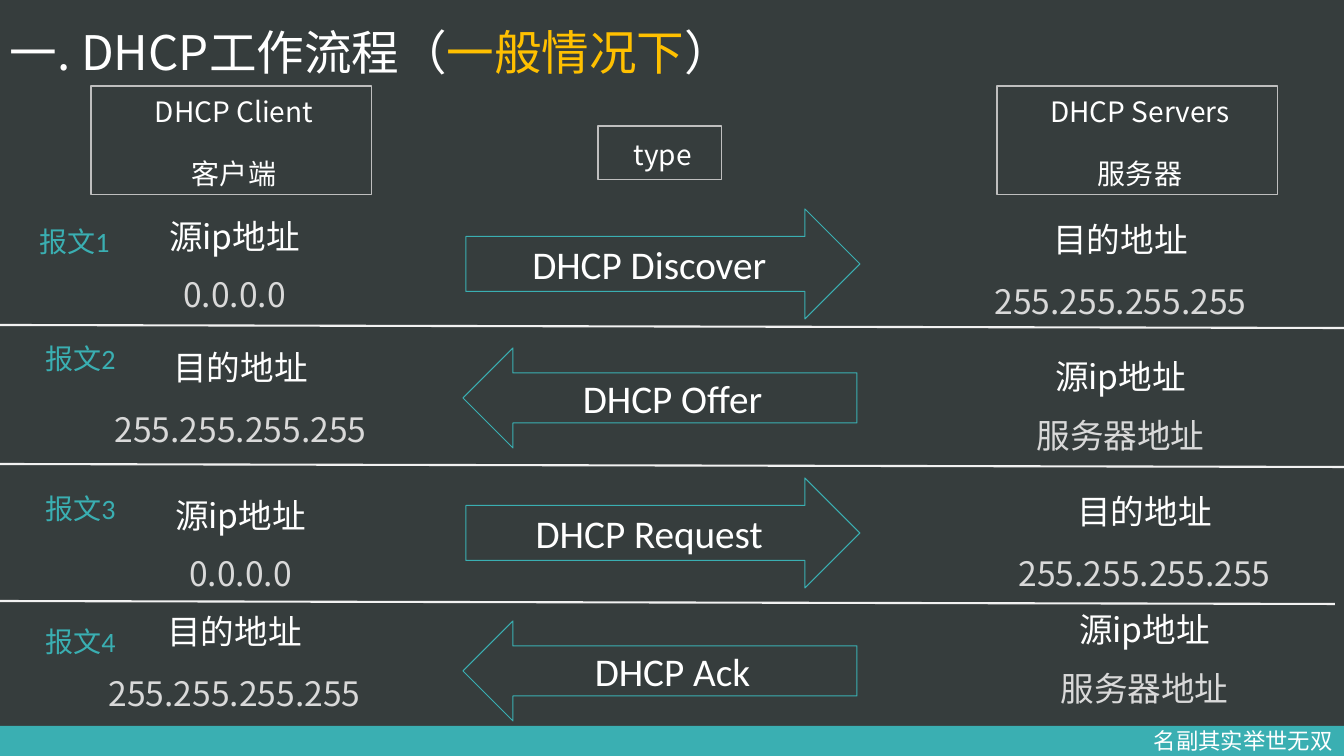
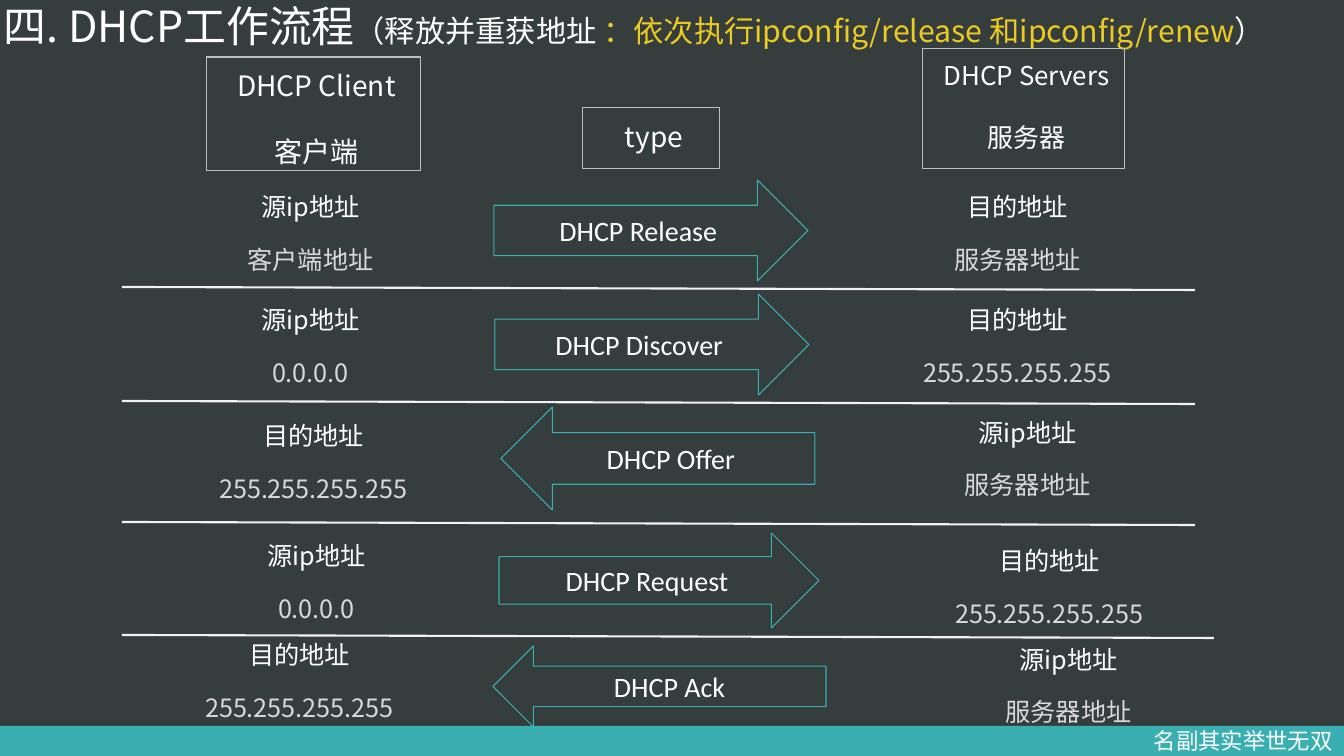
import dataclasses

import lxml.etree
import pptx
import pptx.dml.color
import pptx.enum.shapes
import pptx.enum.text
import pptx.oxml.ns
import pptx.util

WIDTH, HEIGHT = 1344, 756
SCALE = 12192000 / WIDTH
BODY_FONT, LATIN_FONT = "Noto Sans CJK SC", "Calibri"
DARK, TEAL, WHITE, GRAY = "363D3D", "3AAFB2", "FFFFFF", "D9D9D9"
FRAME, DIVIDER, GOLD, YELLOW = "BFBFBF", "F2F2F2", "FFC000", "EBCA21"
SHAPES = pptx.enum.shapes.MSO_SHAPE
ANCHOR = pptx.enum.text.MSO_ANCHOR
ALIGN = pptx.enum.text.PP_ALIGN

UNASSIGNED = ("源ip地址", "0.0.0.0")
CLIENT_SOURCE = ("源ip地址", "客户端地址")
SERVER_SOURCE = ("源ip地址", "服务器地址")
SERVER_TARGET = ("目的地址", "服务器地址")
BROADCAST = ("目的地址", "255.255.255.255")


@dataclasses.dataclass
class Style:
    address_size: float
    arrow_size: float
    header_spacing: float
    address_spacing: dict


@dataclasses.dataclass
class Exchange:
    box: tuple
    name: str
    arrow: tuple
    client: tuple
    client_at: tuple
    server: tuple
    server_at: tuple
    label: str = ""
    label_at: tuple = (0, 0)
    to_server: bool = True
    divided: bool = True


def px(length):
    return pptx.util.Emu(round(length * SCALE))


def place(box):
    return [px(length) for length in box]


def rgb(color):
    return pptx.dml.color.RGBColor.from_string(color)


def set_font(font, size, color, name):
    font.size = pptx.util.Pt(size)
    font.color.rgb = rgb(color)
    font.name = name
    east_asian = lxml.etree.SubElement(font._element, pptx.oxml.ns.qn("a:ea"))
    east_asian.set("typeface", BODY_FONT)


def add_preset(page, preset, box, fill=None, line=None):
    shape = page.shapes.add_shape(preset, *place(box))
    shape.shadow.inherit = False
    if fill:
        shape.fill.solid()
        shape.fill.fore_color.rgb = rgb(fill)
    else:
        shape.fill.background()
    if line:
        shape.line.color.rgb = rgb(line)
        shape.line.width = pptx.util.Pt(0.75)
    else:
        shape.line.fill.background()
    return shape


def write(shape, lines, size, colors, name=BODY_FONT, spacings=None,
          align=ALIGN.CENTER, anchor=ANCHOR.TOP):
    frame = shape.text_frame
    frame.word_wrap = True
    frame.vertical_anchor = anchor
    for index, (text, color) in enumerate(zip(lines, colors)):
        para = frame.paragraphs[0] if index == 0 else frame.add_paragraph()
        para.text = text
        para.alignment = align
        set_font(para.font, size, color, name)
        if spacings:
            para.line_spacing = spacings[index]
            para.space_before = pptx.util.Pt(18)
    if spacings:
        frame.margin_left = px(15)


def add_text(page, box, *content, **options):
    write(page.shapes.add_textbox(*place(box)), *content, **options)


def add_footer(page):
    add_preset(page, SHAPES.RECTANGLE, (0, 726, WIDTH, 30), fill=TEAL)
    add_text(page, (1144, 722, 206, 37), ["名副其实举世无双"], 16, [WHITE],
             name=LATIN_FONT, align=ALIGN.LEFT)


def add_title(page, box, spans):
    frame = page.shapes.add_textbox(*place(box)).text_frame
    frame.word_wrap = True
    frame.vertical_anchor = ANCHOR.BOTTOM
    para = frame.paragraphs[0]
    para.line_spacing = 0.9
    for text, size, color in spans:
        span = para.add_run()
        span.text = text
        set_font(span.font, size, color, BODY_FONT)


def add_header(page, box, lines, size, spacing):
    shape = add_preset(page, SHAPES.RECTANGLE, box, line=FRAME)
    count = len(lines)
    write(shape, lines, size, [WHITE] * count, spacings=[spacing] * count)


def add_address(page, center, top, address, style):
    width = round(style.address_size * 14)
    spacings = style.address_spacing.get(address, (0.9, 0.9))
    add_text(page, (center - width // 2, top, width, 100), address,
             style.address_size, [WHITE, GRAY], spacings=spacings)


def add_divider(page, left, top, width):
    line = page.shapes.add_connector(
        pptx.enum.shapes.MSO_CONNECTOR.STRAIGHT,
        *place((left, top, left + width, top + 3)))
    line.line.color.rgb = rgb(DIVIDER)
    line.line.width = pptx.util.Pt(1.5)
    lxml.etree.SubElement(line._element.spPr, pptx.oxml.ns.qn("a:effectLst"))


def add_exchange(page, exchange, style):
    left, top, width, height = exchange.box
    arrow_left, arrow_top, *arrow_size = exchange.arrow
    preset = SHAPES.RIGHT_ARROW if exchange.to_server else SHAPES.LEFT_ARROW
    arrow = add_preset(page, preset,
                       (left + arrow_left, top + arrow_top, *arrow_size), line=TEAL)
    write(arrow, [exchange.name], style.arrow_size, [WHITE],
          name=LATIN_FONT, anchor=ANCHOR.MIDDLE)
    for address, (center, offset) in ((exchange.client, exchange.client_at),
                                      (exchange.server, exchange.server_at)):
        add_address(page, left + center, top + offset, address, style)
    if exchange.label:
        label_left, label_top = exchange.label_at
        add_text(page, (left + label_left, top + label_top, 149, 71),
                 [exchange.label], 20, [TEAL], name=LATIN_FONT, anchor=ANCHOR.MIDDLE)
    if exchange.divided:
        add_divider(page, left, top + height, width)


def add_flow_page(deck, title_box, title, headers, exchanges, style):
    page = deck.slides.add_slide(deck.slide_layouts[6])
    add_footer(page)
    add_title(page, title_box, title)
    for box, lines, size, spacing in headers:
        add_header(page, box, lines, size, spacing)
    for exchange in exchanges:
        add_exchange(page, exchange, style)


def add_general_flow(deck):
    style = Style(24, 28, 1.1, {UNASSIGNED: (0.8, 0.8), SERVER_SOURCE: (0.9, 0.8)})
    title = [("一. DHCP工作流程（", 34, WHITE), ("一般情况下", 34, GOLD), ("）", 34, WHITE)]
    headers = [
        ((91, 86, 281, 109), ["DHCP Client", "客户端"], 20, style.header_spacing),
        ((997, 86, 281, 109), ["DHCP Servers", "服务器"], 20, style.header_spacing),
        ((598, 126, 124, 54), ["type"], 20, 1.2),
    ]
    exchanges = [
        Exchange((0, 206, WIDTH, 119), "DHCP Discover", (466, 3, 394, 110),
                 UNASSIGNED, (232, 13), BROADCAST, (1118, 13), "报文1"),
        Exchange((0, 325, WIDTH, 139), "DHCP Offer", (463, 23, 394, 100),
                 BROADCAST, (238, 22), SERVER_SOURCE, (1118, 31), "报文2", (6, -2),
                 to_server=False),
        Exchange((-9, 464, WIDTH, 137), "DHCP Request", (475, 14, 394, 110),
                 UNASSIGNED, (247, 34), BROADCAST, (1151, 27), "报文3", (15, 9)),
        Exchange((0, 601, WIDTH, 124), "DHCP Ack", (463, 20, 394, 100),
                 BROADCAST, (232, 10), SERVER_SOURCE, (1142, 8), "报文4", (6, 5),
                 to_server=False, divided=False),
    ]
    add_flow_page(deck, (0, 0, 1048, 86), title, headers, exchanges, style)


def add_renewal_flow(deck):
    style = Style(18, 20, 1.2, {SERVER_SOURCE: (1.0, 0.9)})
    title = [
        ("四. DHCP工作流程", 30.6, WHITE),
        ("（释放并重获地址", 21.6, WHITE),
        (" ：依次执行ipconfig/release 和ipconfig/renew", 21.6, YELLOW),
        ("）", 21.6, WHITE),
    ]
    headers = [
        ((207, 57, 214, 114), ["DHCP Client", "客户端"], 20, style.header_spacing),
        ((923, 48, 202, 121), ["DHCP Servers", "服务器"], 18.5, style.header_spacing),
        ((583, 108, 137, 61), ["type"], 20, style.header_spacing),
    ]
    exchanges = [
        Exchange((122, 180, 1073, 107), "DHCP Release", (372, 0, 314, 101),
                 CLIENT_SOURCE, (186, 10), SERVER_TARGET, (893, 10)),
        Exchange((122, 287, 1073, 114), "DHCP Discover", (373, 7, 314, 101),
                 UNASSIGNED, (186, 16), BROADCAST, (893, 16)),
        Exchange((122, 401, 1073, 121), "DHCP Offer", (379, 6, 314, 103),
                 BROADCAST, (189, 18), SERVER_SOURCE, (903, 11), to_server=False),
        Exchange((122, 522, 1092, 113), "DHCP Request", (377, 11, 320, 95),
                 UNASSIGNED, (192, 17), BROADCAST, (925, 22)),
        Exchange((122, 635, 1092, 91), "DHCP Ack", (371, 11, 333, 81),
                 BROADCAST, (175, 3), SERVER_SOURCE, (944, 4),
                 to_server=False, divided=False),
    ]
    add_flow_page(deck, (-6, -9, 1385, 66), title, headers, exchanges, style)


def main():
    deck = pptx.Presentation()
    deck.slide_width, deck.slide_height = px(WIDTH), px(HEIGHT)
    backdrop = deck.slide_master.background.fill
    backdrop.solid()
    backdrop.fore_color.rgb = rgb(DARK)
    add_general_flow(deck)
    add_renewal_flow(deck)
    deck.save("out.pptx")


if __name__ == "__main__":
    main()
